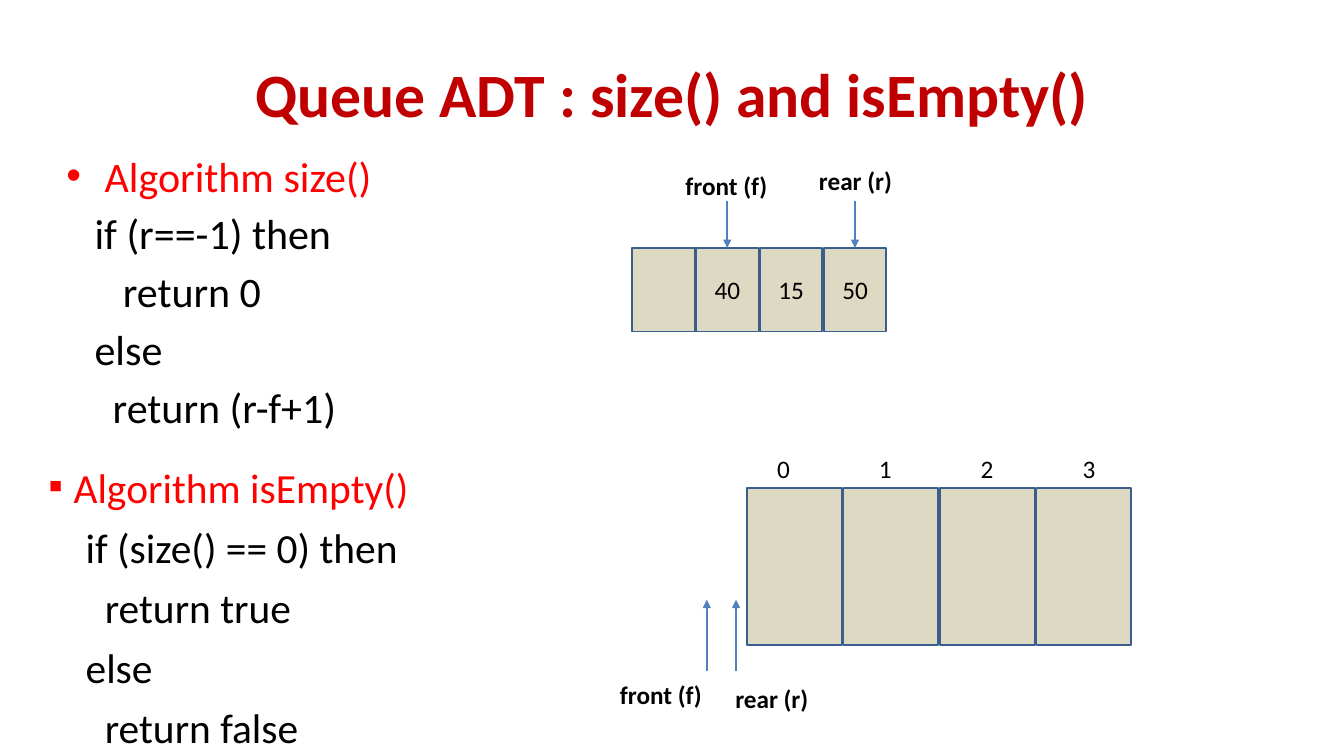
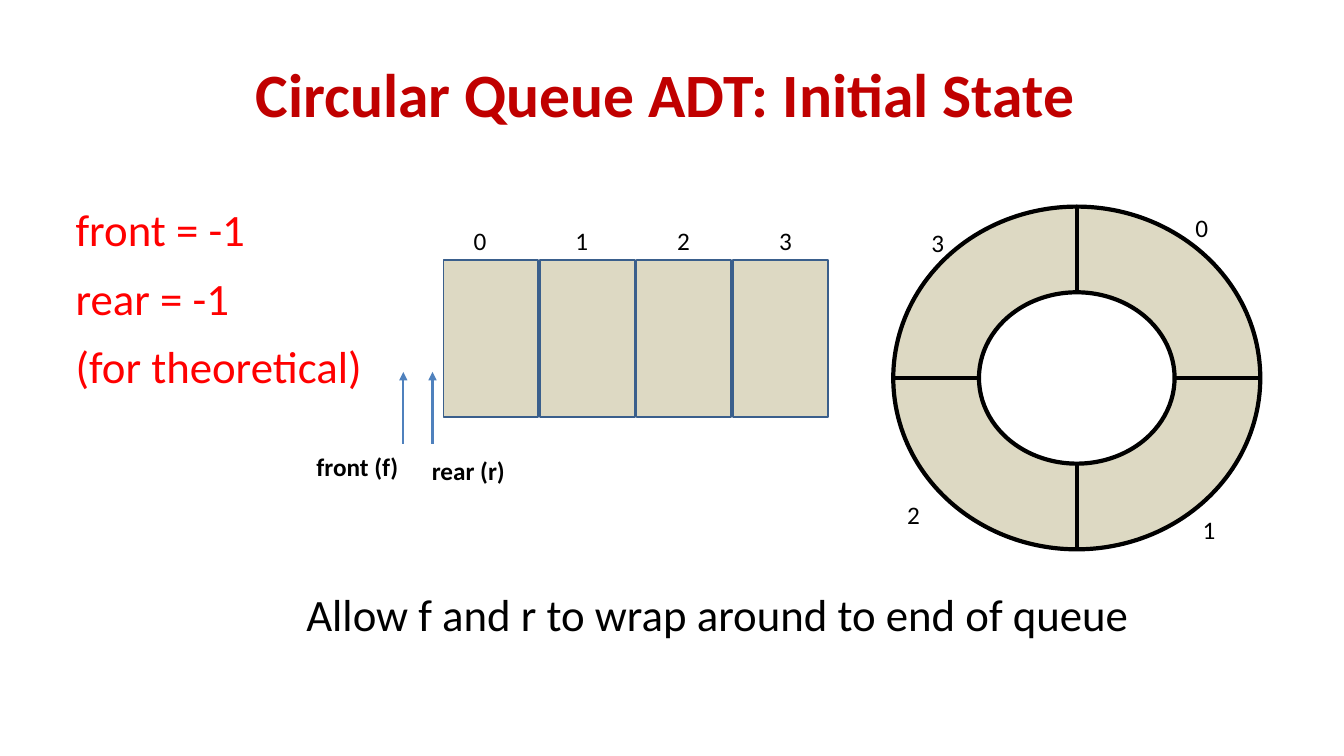
from lxml import etree
from pptx import Presentation
from pptx.dml.color import RGBColor
from pptx.enum import shapes, text
from pptx.oxml.ns import qn
from pptx.util import Pt

PX = 9144  # EMU per px, 100 px to the inch
FONT = "Calibri"
TITLE_RED = RGBColor(0xC0, 0x00, 0x00)
RED = RGBColor(0xFF, 0x00, 0x00)
BLACK = RGBColor(0x00, 0x00, 0x00)
SAND = RGBColor(0xDD, 0xD9, 0xC3)
CELL_EDGE = RGBColor(0x3A, 0x5F, 0x8C)
ARROW_BLUE = RGBColor(0x4F, 0x81, 0xBD)

LEFT, CENTER = text.PP_ALIGN.LEFT, text.PP_ALIGN.CENTER
TOP, MIDDLE = text.MSO_ANCHOR.TOP, text.MSO_ANCHOR.MIDDLE


def px(*lengths):
    return [round(length * PX) for length in lengths]


# Text
def write(frame, lines, size=18, color=BLACK, bold=False, align=CENTER,
          anchor=TOP, wrap=True, side=10, before=0, spacing=None,
          bullet=None, hang=0, indents=(), head_color=None):
    """Fill a frame; bullet, hang and head_color apply to the first line."""
    frame.word_wrap = wrap
    frame.vertical_anchor = anchor
    frame.margin_left = frame.margin_right = side * PX
    frame.margin_top = frame.margin_bottom = 5 * PX
    for i, line in enumerate(lines):
        par = frame.paragraphs[0] if i == 0 else frame.add_paragraph()
        par.alignment = align
        par.space_before = Pt(before)
        if spacing:
            par.line_spacing = spacing
        props = par._p.get_or_add_pPr()
        if indents:
            props.set("marL", str(indents[i] * PX))
        if bullet and i == 0:
            props.set("marL", str(hang * PX))
            props.set("indent", str(-hang * PX))
            etree.SubElement(props, qn("a:buFont"), typeface="Arial")
            etree.SubElement(props, qn("a:buChar"), char=bullet)
        run = par.add_run()
        run.text = line
        run.font.name = FONT
        run.font.size = Pt(size)
        run.font.bold = bold
        run.font.color.rgb = head_color if head_color and i == 0 else color


def add_text(slide, box, *lines, **style):
    write(slide.shapes.add_textbox(*px(*box)).text_frame, lines, **style)


def add_index(slide, x, y, number):
    """A number centred on a point."""
    add_text(slide, (x - 36, y - 20, 72, 40), str(number), anchor=MIDDLE)


def add_pointer_label(slide, x, y, label):
    add_text(slide, (x, y, 129, 40), label, bold=True)


# Shapes and lines
def add_block(slide, preset, box, edge, width):
    block = slide.shapes.add_shape(preset, *px(*box))
    block.shadow.inherit = False
    block.fill.solid()
    block.fill.fore_color.rgb = SAND
    block.line.color.rgb = edge
    block.line.width = Pt(width)
    return block


def add_line(slide, ends, color, width, arrow=False):
    line = slide.shapes.add_connector(shapes.MSO_CONNECTOR.STRAIGHT, *px(*ends))
    line.line.color.rgb = color
    line.line.width = Pt(width)
    if arrow:
        etree.SubElement(line.line._get_or_add_ln(), qn("a:tailEnd"), type="triangle")
    etree.SubElement(line._element.spPr, qn("a:effectLst"))
    return line


def add_arrow(slide, *ends):
    return add_line(slide, ends, ARROW_BLUE, 1.5, arrow=True)


# Queue diagrams
def add_cells(slide, box, values, cell_width):
    """Cells spread evenly from the left to the right edge of the box."""
    left, top, width, height = box
    pitch = (width - cell_width) / (len(values) - 1)
    cells = []
    for i, value in enumerate(values):
        cell = add_block(slide, shapes.MSO_SHAPE.RECTANGLE,
                         (left + i * pitch, top, cell_width, height), CELL_EDGE, 1.25)
        if value:
            write(cell.text_frame, [value], anchor=MIDDLE)
        cells.append(cell)
    return cells


def add_filled_queue(slide, left, top):
    cells = add_cells(slide, (left, top, 252, 83), ("", "40", "15", "50"), 62)
    for label, cell, dx, dy in (("front (f)", cells[1], 29, -82),
                                ("rear (r)", cells[3], 157, -87)):
        add_pointer_label(slide, left + dx, top + dy, label)
        x = (cell.left + cell.width // 2) / PX
        add_arrow(slide, x, top - 47, x, top).end_connect(cell, 0)


def add_empty_queue(slide, left, top):
    add_cells(slide, (left, top, 381, 156), [""] * 4, 94)
    for i in range(4):
        add_index(slide, left + 36 + 101 * i, top - 19, i)
    for label, arrow_dx, dx, dy in (("front (f)", -40, -150, 185),
                                    ("rear (r)", -11, -40, 189)):
        x = left + arrow_dx
        add_arrow(slide, x, top + 182, x, top + 111)
        add_pointer_label(slide, left + dx, top + dy, label)


def add_ring(slide, box):
    left, top, width, height = box
    right, bottom = left + width, top + height
    mid_x, mid_y = left + width // 2, top + height // 2
    band = height // 4
    ring = add_block(slide, shapes.MSO_SHAPE.DONUT, box, BLACK, 3)
    ring.adjustments[0] = 0.25
    for spoke in ((mid_x, top, mid_x, top + band),
                  (right, mid_y, right - band, mid_y),
                  (mid_x, bottom - band, mid_x, bottom),
                  (left, mid_y, left + band, mid_y)):
        add_line(slide, spoke, BLACK, 3)
    for i, (dx, dy) in enumerate(((306, 21), (313, 320), (20, 305), (44, 36))):
        add_index(slide, left + dx, top + dy, i)


# Slides
def add_slide(deck, title):
    slide = deck.slides.add_slide(deck.slide_layouts[6])
    add_text(slide, (67, 30, 1200, 125), title, size=44, color=TITLE_RED,
             bold=True, anchor=MIDDLE)
    return slide


def build_size_and_empty(deck):
    slide = add_slide(deck, "Queue ADT : size() and isEmpty()")
    add_text(slide, (56, 144, 599, 300), "Algorithm size()", "if (r==-1) then",
             "return 0", "else", "return (r-f+1)", size=30, align=LEFT,
             before=5.3, bullet="•", hang=38, indents=(38, 28, 56, 28, 46),
             head_color=RED)
    add_text(slide, (48, 467, 464, 298), "Algorithm isEmpty()",
             "if (size() == 0) then", "return true", "else", "return false",
             size=29.6, align=LEFT, side=0, before=18, spacing=0.7, bullet="▪",
             hang=25, indents=(25, 37, 56, 37, 56), head_color=RED)
    add_filled_queue(slide, 627, 246)
    add_empty_queue(slide, 741, 484)


def build_circular_start(deck):
    slide = add_slide(deck, "Circular Queue ADT: Initial State ")
    add_text(slide, (75, 206, 337, 199), "front = -1", "rear = -1",
             "(for theoretical)", size=32, color=RED, align=LEFT, side=0,
             before=18, spacing=0.8)
    add_empty_queue(slide, 440, 258)
    add_ring(slide, (886, 205, 364, 340))
    add_text(slide, (294, 577, 844, 64),
             "Allow f and r to wrap around to end of queue",
             size=32, align=LEFT, wrap=False)


def main():
    deck = Presentation()
    deck.slide_width, deck.slide_height = px(1333, 750)
    build_size_and_empty(deck)
    build_circular_start(deck)
    deck.save("out.pptx")


if __name__ == "__main__":
    main()
